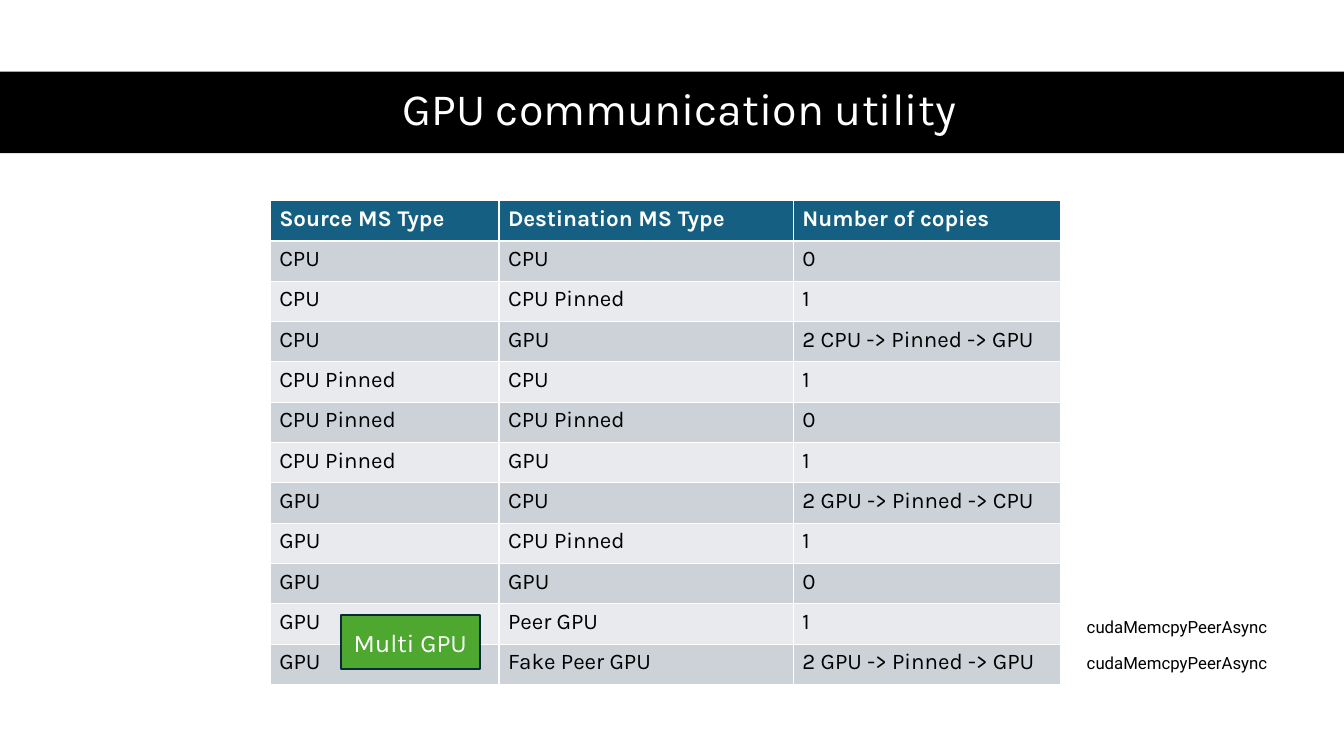
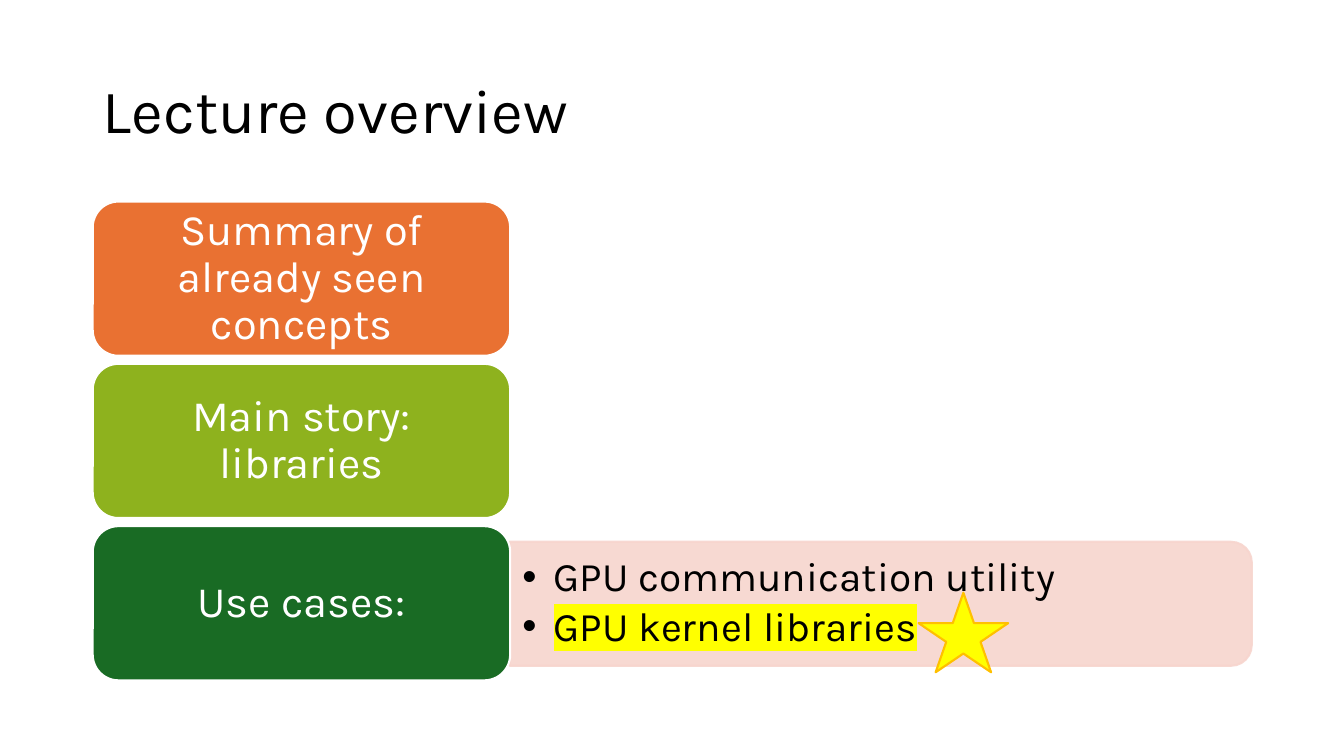
from lxml.etree import SubElement
from pptx import Presentation
from pptx.dml.color import RGBColor
from pptx.enum.shapes import MSO_SHAPE as Preset
from pptx.enum.text import MSO_ANCHOR as Anchor, MSO_AUTO_SIZE as AutoSize, PP_ALIGN as Align
from pptx.oxml.ns import qn
from pptx.util import Pt

PX = 9144
SLIDE_SIZE = (1333, 750)
FONT = "Karla"
COLORS = {
    "black": "000000", "white": "FFFFFF", "header": "156082",
    "dark_row": "CCD2D8", "light_row": "E8EAED",
    "badge": "4EA72E", "badge_edge": "092A39",
    "orange": "E97132", "lime": "8EB21E", "green": "196B24",
    "pink": "F7D5CE", "yellow": "FFFF00", "star_edge": "FFC000",
}

COPY_TITLE = "GPU communication utility"
COPY_HEADER = ("Source MS Type", "Destination MS Type", "Number of copies")
COPY_ROWS = [
    ("CPU", "CPU", "0"),
    ("CPU", "CPU Pinned", "1"),
    ("CPU", "GPU", "2 CPU -> Pinned -> GPU"),
    ("CPU Pinned", "CPU", "1"),
    ("CPU Pinned", "CPU Pinned", "0"),
    ("CPU Pinned", "GPU", "1"),
    ("GPU", "CPU", "2 GPU -> Pinned -> CPU"),
    ("GPU", "CPU Pinned", "1"),
    ("GPU", "GPU", "0"),
    ("GPU", "Peer GPU", "1"),
    ("GPU", "Fake Peer GPU", "2 GPU -> Pinned -> GPU"),
]
COLUMN_WIDTHS = (227, 292, 265)
ROW_HEIGHT = 40
PEER_CALL = "cudaMemcpyPeerAsync"
PEER_CALL_TOPS = (607, 643)
BADGE = "Multi GPU"

OVERVIEW_TITLE = "Lecture overview"
SECTIONS = [
    ("Summary of already seen concepts", "orange"),
    ("Main story: libraries", "lime"),
    ("Use cases:", "green"),
]
USE_CASES = ["GPU communication utility", "GPU kernel libraries"]
CURRENT_USE_CASE = "GPU kernel libraries"
CARD_LEFT, CARD_TOP, CARD_WIDTH, CARD_HEIGHT, CARD_PITCH = 92, 200, 414, 153, 161


def px(*lengths):
    return [round(length * PX) for length in lengths]


def rgb(name):
    return RGBColor.from_string(COLORS[name])


def write(frame, lines, size, color="black", font=FONT, bold=False, align=Align.LEFT,
          anchor=Anchor.TOP, spacing=1.0, after=0, insets=(10, 5), bullet_indent=0,
          highlighted=None):
    frame.word_wrap = True
    frame.auto_size = AutoSize.NONE
    frame.vertical_anchor = anchor
    frame.margin_left, frame.margin_top = px(*insets)
    frame.margin_right, frame.margin_bottom = px(*insets)
    for index, line in enumerate(lines):
        paragraph = frame.add_paragraph() if index else frame.paragraphs[0]
        if bullet_indent:
            properties = paragraph._p.get_or_add_pPr()
            indent, = px(bullet_indent)
            properties.set("marL", str(indent))
            properties.set("indent", str(-indent))
            SubElement(properties, qn("a:buFont"), typeface="Arial")
            SubElement(properties, qn("a:buChar"), char="•")
        paragraph.alignment = align
        paragraph.line_spacing = spacing
        paragraph.space_before = Pt(0)
        paragraph.space_after = Pt(after)
        run = paragraph.add_run()
        run.text = line
        run.font.size, run.font.name, run.font.bold = Pt(size), font, bold
        run.font.color.rgb = rgb(color)
        if line == highlighted:
            run_properties = run.font._element
            highlight = SubElement(run_properties, qn("a:highlight"))
            SubElement(highlight, qn("a:srgbClr"), val=COLORS["yellow"])
            run_properties.find(qn("a:solidFill")).addnext(highlight)


def add_part(slide, preset, box, fill, edge=None):
    part = slide.shapes.add_shape(preset, *px(*box))
    part.shadow.inherit = False
    part.fill.solid()
    part.fill.fore_color.rgb = rgb(fill)
    if edge:
        part.line.color.rgb = rgb(edge)
        part.line.width = Pt(1.5)
    else:
        part.line.fill.background()
    return part


def place(placeholder, box):
    placeholder.left, placeholder.top, placeholder.width, placeholder.height = px(*box)


def set_title(slide, title, box, **style):
    place(slide.shapes.title, box)
    write(slide.shapes.title.text_frame, [title], anchor=Anchor.MIDDLE, spacing=0.9, **style)


def add_copy_table(slide):
    rows = [COPY_HEADER, *COPY_ROWS]
    box = (268, 199, sum(COLUMN_WIDTHS), ROW_HEIGHT * len(rows))
    table = slide.shapes.add_table(len(rows), len(COLUMN_WIDTHS), *px(*box)).table
    for column, width in zip(table.columns, px(*COLUMN_WIDTHS)):
        column.width = width
    for row_index, row in enumerate(rows):
        is_header = row_index == 0
        fill = "header" if is_header else ("light_row", "dark_row")[row_index % 2]
        for column_index, value in enumerate(row):
            cell = table.cell(row_index, column_index)
            cell.fill.solid()
            cell.fill.fore_color.rgb = rgb(fill)
            cell.margin_left, cell.margin_top, cell.margin_right, cell.margin_bottom = px(9, 5, 9, 5)
            paragraph_frame = cell.text_frame
            write_cell(paragraph_frame, value, is_header)


def write_cell(frame, value, is_header):
    write(frame, [value], 16, color="white" if is_header else "black", bold=is_header,
          insets=(9, 5))


def build_copy_slide(deck):
    slide = deck.slides.add_slide(deck.slide_layouts[5])
    title_band = add_part(slide, Preset.RECTANGLE, (0, 71, SLIDE_SIZE[0], 81), "black")
    set_title(slide, COPY_TITLE, (61, 70, 1226, 81), size=32, color="white", align=Align.CENTER)
    title_band.element.addnext(slide.shapes.title.element)
    add_copy_table(slide)
    for top in PEER_CALL_TOPS:
        peer_call = slide.shapes.add_textbox(*px(1068, top, 219, 30))
        write(peer_call.text_frame, [PEER_CALL], 12, font="Roboto")
    badge = add_part(slide, Preset.RECTANGLE, (338, 610, 138, 54), "badge", "badge_edge")
    write(badge.text_frame, [BADGE], 18, color="white", align=Align.CENTER, anchor=Anchor.MIDDLE)


def add_use_cases(slide):
    band = add_part(slide, Preset.ROUND_2_SAME_RECTANGLE, (812, 231, 123, 736), "pink", "pink")
    band.rotation = 90
    for color in band.element.spPr.iter(qn("a:srgbClr")):
        SubElement(color, qn("a:alpha"), val="90000")
    use_cases = slide.placeholders[1]
    place(use_cases, (506, 543, 730, 111))
    write(use_cases.text_frame, USE_CASES, 29, anchor=Anchor.MIDDLE, spacing=0.9, after=4,
          insets=(12, 6), bullet_indent=31, highlighted=CURRENT_USE_CASE)
    band.element.addnext(use_cases.element)


def build_overview_slide(deck):
    slide = deck.slides.add_slide(deck.slide_layouts[1])
    set_title(slide, OVERVIEW_TITLE, (92, 40, 1150, 145), size=44)
    add_use_cases(slide)
    for index, (section, fill) in enumerate(SECTIONS):
        box = (CARD_LEFT, CARD_TOP + index * CARD_PITCH, CARD_WIDTH, CARD_HEIGHT)
        card = add_part(slide, Preset.ROUNDED_RECTANGLE, box, fill, "white")
        write(card.text_frame, [section], 31, color="white", align=Align.CENTER,
              anchor=Anchor.MIDDLE, spacing=0.9, insets=(13, 6))
    add_part(slide, Preset.STAR_5_POINT, (911, 588, 89, 79), "yellow", "star_edge")


def main():
    deck = Presentation()
    deck.slide_width, deck.slide_height = px(*SLIDE_SIZE)
    build_copy_slide(deck)
    build_overview_slide(deck)
    deck.save("out.pptx")


if __name__ == "__main__":
    main()
